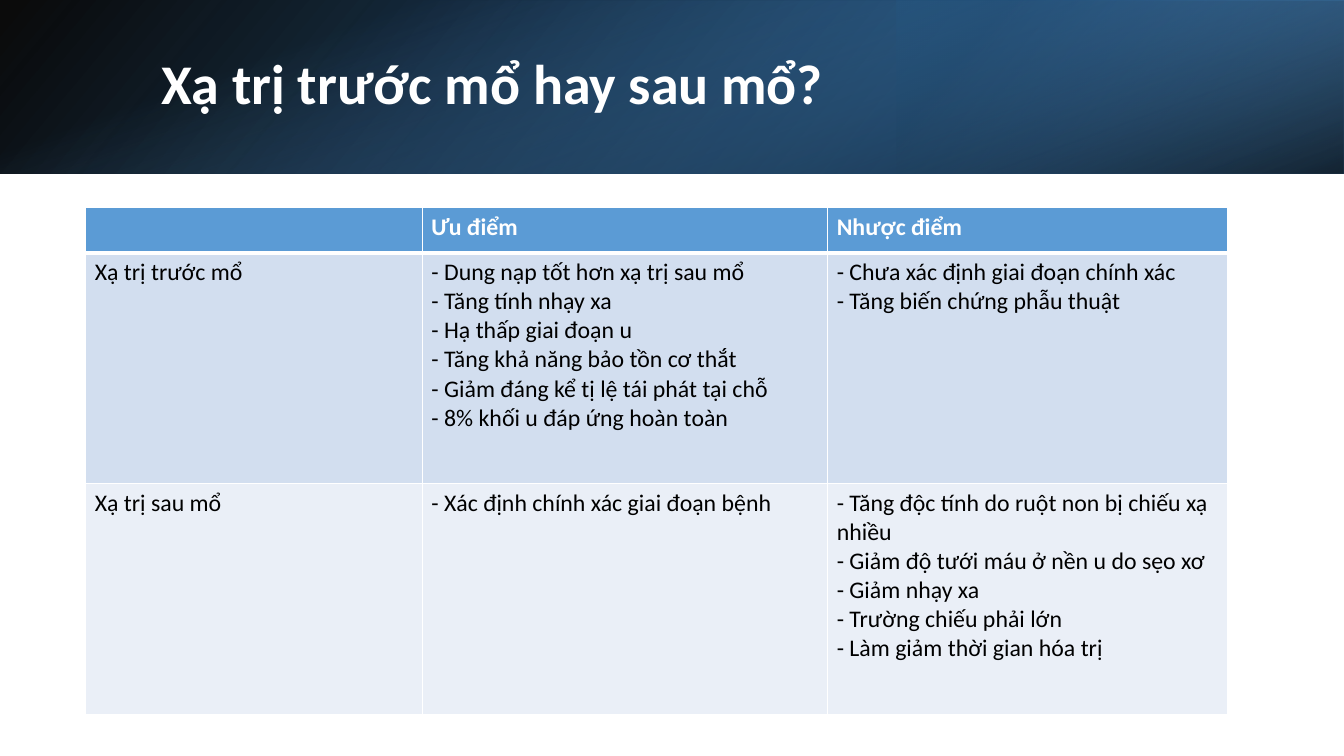
from lxml.etree import SubElement
from pptx import Presentation
from pptx.dml.color import RGBColor
from pptx.enum.shapes import MSO_SHAPE
from pptx.enum.text import MSO_ANCHOR
from pptx.oxml.ns import qn
from pptx.util import Inches, Pt


def color(code):
    return RGBColor.from_string(code)


class Deck:
    font = "Calibri"
    white = "FFFFFF"
    black = "000000"
    head = "5B9BD5"
    bands = ("D2DEEF", "EAEFF7")

    def __init__(self):
        self.file = Presentation()
        self.file.slide_width = Inches(13.33)
        self.file.slide_height = Inches(7.5)
        self.slide = self.file.slides.add_slide(self.file.slide_layouts[6])

    def style(self, para, size, code, bold):
        para.font.name = self.font
        para.font.size = Pt(size)
        para.font.bold = bold
        para.font.color.rgb = color(code)

    def blend(self, box, stops, angle, turn=0, flip=False):
        shape = self.slide.shapes.add_shape(MSO_SHAPE.RECTANGLE, *map(Inches, box))
        shape.shadow.inherit = False
        shape.line.fill.background()
        shape.rotation = turn
        if flip:
            shape._element.spPr.find(qn("a:xfrm")).set("flipH", "1")
        shape.fill.gradient()
        grad = shape._element.spPr.find(qn("a:gradFill"))
        for child in list(grad):
            grad.remove(child)
        group = SubElement(grad, qn("a:gsLst"))
        for place, code, alpha in stops:
            stop = SubElement(group, qn("a:gs"), pos=str(place * 1000))
            tint = SubElement(stop, qn("a:srgbClr"), val=code)
            SubElement(tint, qn("a:alpha"), val=str(alpha * 1000))
        SubElement(grad, qn("a:lin"), ang=str(angle * 60000), scaled="0")

    def title(self, box, text):
        frame = self.slide.shapes.add_textbox(*map(Inches, box)).text_frame
        frame.word_wrap = True
        frame.vertical_anchor = MSO_ANCHOR.MIDDLE
        para = frame.paragraphs[0]
        para.text = text
        para.line_spacing = 0.9
        self.style(para, 40, self.white, True)

    def border(self, cell, widths):
        props = cell._tc.get_or_add_tcPr()
        for side, width in zip("LRTB", widths):
            line = SubElement(props, qn(f"a:ln{side}"), w=str(Pt(width)))
            fill = SubElement(line, qn("a:solidFill"))
            SubElement(fill, qn("a:srgbClr"), val=self.white)

    def table(self, box, wide, tall, data):
        grid = self.slide.shapes.add_table(
            len(tall), len(wide), *map(Inches, box)).table
        for col, width in zip(grid.columns, wide):
            col.width = Inches(width)
        for row, height in zip(grid.rows, tall):
            row.height = Inches(height)
        for i, row in enumerate(data):
            top = i == 0
            for j, lines in enumerate(row):
                cell = grid.cell(i, j)
                self.border(cell, (1, 1, 3 if i == 1 else 1, 3 if top else 1))
                cell.fill.solid()
                cell.fill.fore_color.rgb = color(
                    self.head if top else self.bands[(i - 1) % 2])
                cell.margin_left = cell.margin_right = Inches(0.09)
                cell.margin_top = cell.margin_bottom = Inches(0.05)
                cell.text = "\n".join(lines)
                for para in cell.text_frame.paragraphs:
                    self.style(para, 17, self.white if top else self.black, top)


def main():
    deck = Deck()
    deck.blend((0, 0, 13.33, 1.72),
               [(0, "000000", 96), (100, "2E75B6", 100)], 140, flip=True)
    deck.blend((8.89, 0, 4.44, 1.72),
               [(19, "1F4E79", 68), (100, "5B9BD5", 79)], 320, 180, True)
    deck.blend((5.8, -5.8, 1.72, 13.33),
               [(23, "5B9BD5", 0), (99, "000000", 74)], 340, 90)
    deck.title((1.5, 0.38, 10.98, 0.96), "Xạ trị trước mổ hay sau mổ?")
    deck.table((0.85, 2.06, 11.33, 5.04), (3.34, 4.02, 3.97), (0.45, 2.29, 2.29), [
        [[], ["Ưu điểm"], ["Nhược điểm"]],
        [["Xạ trị trước mổ"],
         ["- Dung nạp tốt hơn xạ trị sau mổ",
          "- Tăng tính nhạy xa",
          "- Hạ thấp giai đoạn u",
          "- Tăng khả năng bảo tồn cơ thắt",
          "- Giảm đáng kể tị lệ tái phát tại chỗ",
          "- 8% khối u đáp ứng hoàn toàn"],
         ["- Chưa xác định giai đoạn chính xác",
          "- Tăng biến chứng phẫu thuật"]],
        [["Xạ trị sau mổ"],
         ["- Xác định chính xác giai đoạn bệnh"],
         ["- Tăng độc tính do ruột non bị chiếu xạ nhiều",
          "- Giảm độ tưới máu ở nền u do sẹo xơ",
          "- Giảm nhạy xa",
          "- Trường chiếu phải lớn",
          "- Làm giảm thời gian hóa trị"]],
    ])
    deck.file.save("out.pptx")


if __name__ == "__main__":
    main()
